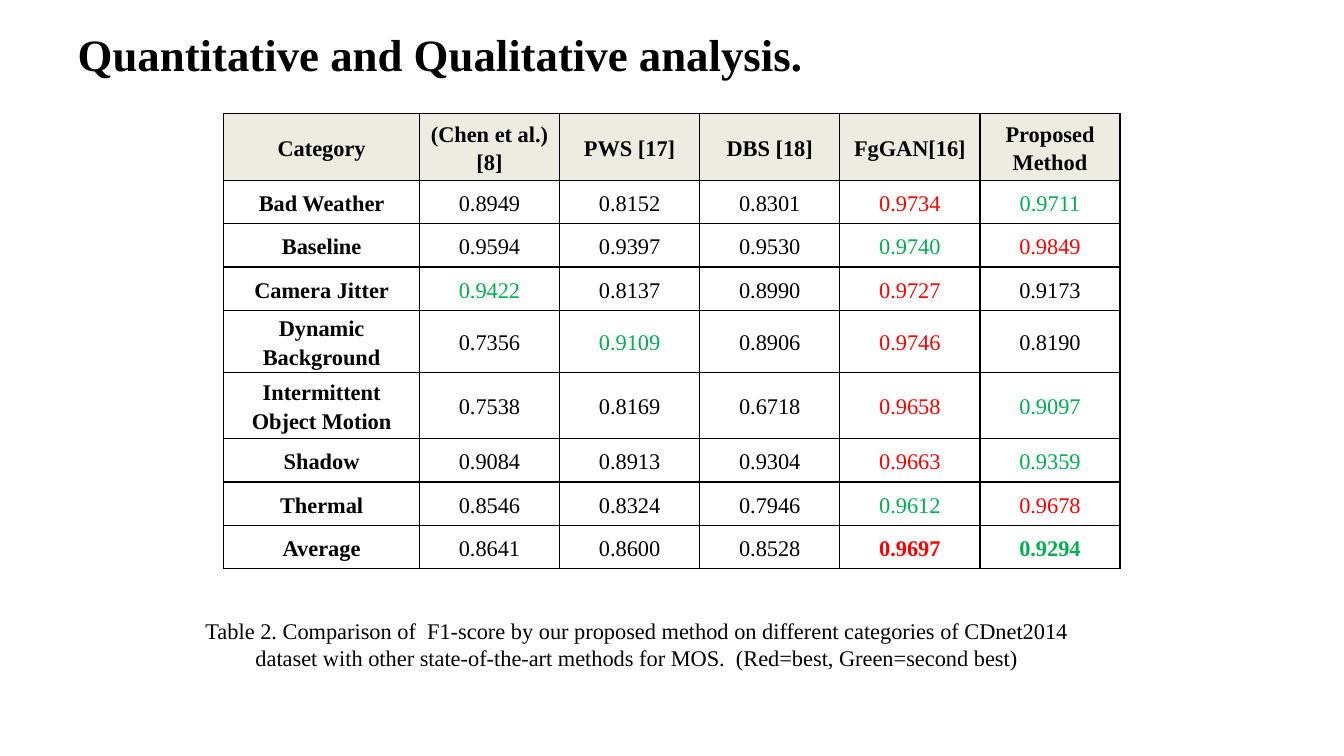
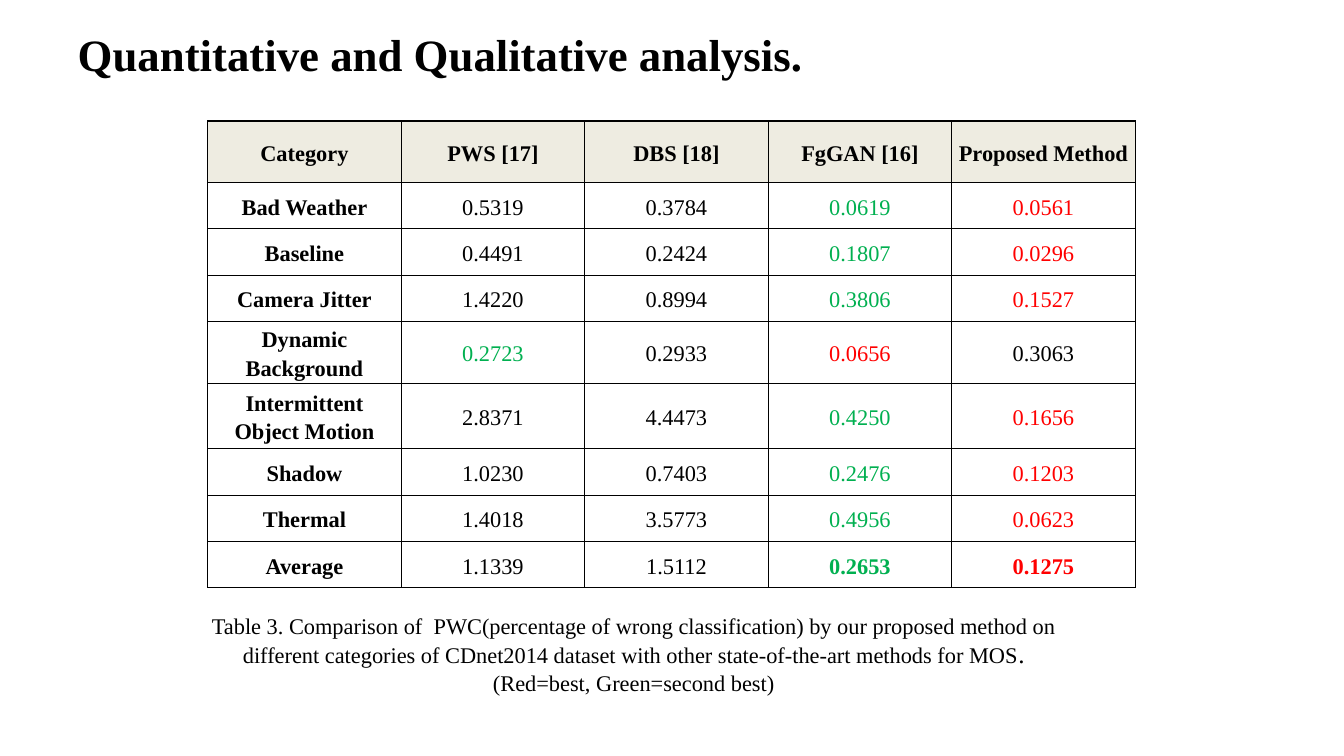
from dataclasses import dataclass

from lxml import etree
from pptx import Presentation
from pptx import util as u
from pptx.dml.color import RGBColor
from pptx.enum import text as t
from pptx.oxml import ns

FONT = "Times New Roman"
BLACK, WHITE, HEADER_FILL = "000000", "FFFFFF", "EEECE1"
BEST, SECOND_BEST = "FF0000", "00B050"
TITLE = "Quantitative and Qualitative analysis."
CATEGORIES = ["Bad Weather", "Baseline", "Camera Jitter", "Dynamic Background",
              "Intermittent Object Motion", "Shadow", "Thermal", "Average"]


@dataclass
class Box:
    left: float
    top: float
    width: float
    height: float

    def lengths(self) -> list:
        return [u.Inches(v) for v in (self.left, self.top, self.width, self.height)]


@dataclass
class Comparison:
    methods: list[str]
    scores: list[list[float]]
    higher_is_better: bool
    table_box: Box
    category_width: float
    method_width: float
    row_heights: list[float]
    caption_box: Box
    caption: list[tuple[str, int]]


TITLE_BOX = Box(0.67, 0.21, 12, 0.64)

F1_SCORE = Comparison(
    methods=["(Chen et al.) [8]", "PWS [17]", "DBS [18]", "FgGAN[16]", "Proposed Method"],
    scores=[
        [0.8949, 0.8152, 0.8301, 0.9734, 0.9711],
        [0.9594, 0.9397, 0.9530, 0.9740, 0.9849],
        [0.9422, 0.8137, 0.8990, 0.9727, 0.9173],
        [0.7356, 0.9109, 0.8906, 0.9746, 0.8190],
        [0.7538, 0.8169, 0.6718, 0.9658, 0.9097],
        [0.9084, 0.8913, 0.9304, 0.9663, 0.9359],
        [0.8546, 0.8324, 0.7946, 0.9612, 0.9678],
        [0.8641, 0.8600, 0.8528, 0.9697, 0.9294],
    ],
    higher_is_better=True,
    table_box=Box(2.22, 1.13, 8.89, 4.54),
    category_width=1.94,
    method_width=1.39,
    row_heights=[0.66] + [0.43] * 3 + [0.6, 0.66] + [0.43] * 3,
    caption_box=Box(1.87, 6.07, 8.89, 0.64),
    caption=[("Table 2. Comparison of  F1-score by our proposed method on different categories "
              "of CDnet2014 dataset with other state-of-the-art methods for MOS.  "
              "(Red=best, Green=second best)", 16)],
)

WRONG_CLASSIFICATION = Comparison(
    methods=["PWS [17]", "DBS [18]", "FgGAN [16]", "Proposed Method"],
    scores=[
        [0.5319, 0.3784, 0.0619, 0.0561],
        [0.4491, 0.2424, 0.1807, 0.0296],
        [1.4220, 0.8994, 0.3806, 0.1527],
        [0.2723, 0.2933, 0.0656, 0.3063],
        [2.8371, 4.4473, 0.4250, 0.1656],
        [1.0230, 0.7403, 0.2476, 0.1203],
        [1.4018, 3.5773, 0.4956, 0.0623],
        [1.1339, 1.5112, 0.2653, 0.1275],
    ],
    higher_is_better=False,
    table_box=Box(2.06, 1.2, 9.21, 4.62),
    category_width=1.92,
    method_width=1.82,
    row_heights=[0.61] + [0.46] * 3 + [0.6, 0.65] + [0.46] * 3,
    caption_box=Box(1.84, 6.02, 8.89, 0.98),
    caption=[("Table 3. Comparison of  PWC(percentage of wrong classification) by our proposed "
              "method on different categories of CDnet2014 dataset with other state-of-the-art "
              "methods for MOS", 16), (". ", 18), ("(Red=best, Green=second best)", 16)],
)


def rgb(color: str) -> RGBColor:
    return RGBColor.from_string(color)


def write(paragraph, content: str, *, size: int = 16, color: str = BLACK,
          bold: bool = False, align=t.PP_ALIGN.CENTER) -> None:
    """Append one formatted run to the paragraph."""
    paragraph.alignment = align
    run = paragraph.add_run()
    run.text = content
    run.font.name = FONT
    run.font.size = u.Pt(size)
    run.font.bold = bold
    run.font.color.rgb = rgb(color)


def add_borders(cell, color: str = BLACK, width: float = 1) -> None:
    properties = cell._tc.get_or_add_tcPr()
    for position, side in enumerate(("lnL", "lnR", "lnT", "lnB")):
        line = etree.Element(ns.qn(f"a:{side}"), w=str(u.Pt(width)))
        fill = etree.SubElement(line, ns.qn("a:solidFill"))
        etree.SubElement(fill, ns.qn("a:srgbClr"), val=color)
        properties.insert(position, line)


def fill_cell(cell, content: str, *, fill: str = WHITE, color: str = BLACK,
              bold: bool = False) -> None:
    cell.fill.solid()
    cell.fill.fore_color.rgb = rgb(fill)
    cell.vertical_anchor = t.MSO_ANCHOR.MIDDLE
    cell.margin_left = cell.margin_right = u.Inches(0.07)
    cell.margin_top = cell.margin_bottom = 0
    paragraph = cell.text_frame.paragraphs[0]
    paragraph.line_spacing = 1.15
    write(paragraph, content, color=color, bold=bold)
    add_borders(cell)


def add_title(slide) -> None:
    title = slide.shapes.title
    title.left, title.top, title.width, title.height = TITLE_BOX.lengths()
    title.text_frame.vertical_anchor = t.MSO_ANCHOR.MIDDLE
    write(title.text_frame.paragraphs[0], TITLE, size=32, bold=True, align=t.PP_ALIGN.LEFT)


def add_scores(slide, comparison: Comparison) -> None:
    """Draw the table, colouring the two best scores of each row."""
    headings = ["Category", *comparison.methods]
    table = slide.shapes.add_table(len(CATEGORIES) + 1, len(headings),
                                   *comparison.table_box.lengths()).table
    for row, height in zip(table.rows, comparison.row_heights):
        row.height = u.Inches(height)
    for index, heading in enumerate(headings):
        width = comparison.method_width if index else comparison.category_width
        table.columns[index].width = u.Inches(width)
        fill_cell(table.cell(0, index), heading, fill=HEADER_FILL, bold=True)

    for row, (category, scores) in enumerate(zip(CATEGORIES, comparison.scores), 1):
        fill_cell(table.cell(row, 0), category, bold=True)
        best, second = sorted(scores, reverse=comparison.higher_is_better)[:2]
        rank_colors = {best: BEST, second: SECOND_BEST}
        for column, score in enumerate(scores, 1):
            fill_cell(table.cell(row, column), f"{score:.4f}",
                      color=rank_colors.get(score, BLACK),
                      bold=category == "Average" and score in rank_colors)


def add_caption(slide, comparison: Comparison) -> None:
    frame = slide.shapes.add_textbox(*comparison.caption_box.lengths()).text_frame
    frame.word_wrap = True
    frame.auto_size = t.MSO_AUTO_SIZE.SHAPE_TO_FIT_TEXT
    for content, size in comparison.caption:
        write(frame.paragraphs[0], content, size=size)


def main() -> None:
    deck = Presentation()
    deck.slide_width, deck.slide_height = u.Inches(13.33), u.Inches(7.5)
    title_only = deck.slide_layouts[5]
    for comparison in (F1_SCORE, WRONG_CLASSIFICATION):
        slide = deck.slides.add_slide(title_only)
        add_title(slide)
        add_caption(slide, comparison)
        add_scores(slide, comparison)
    deck.save("out.pptx")


if __name__ == "__main__":
    main()
